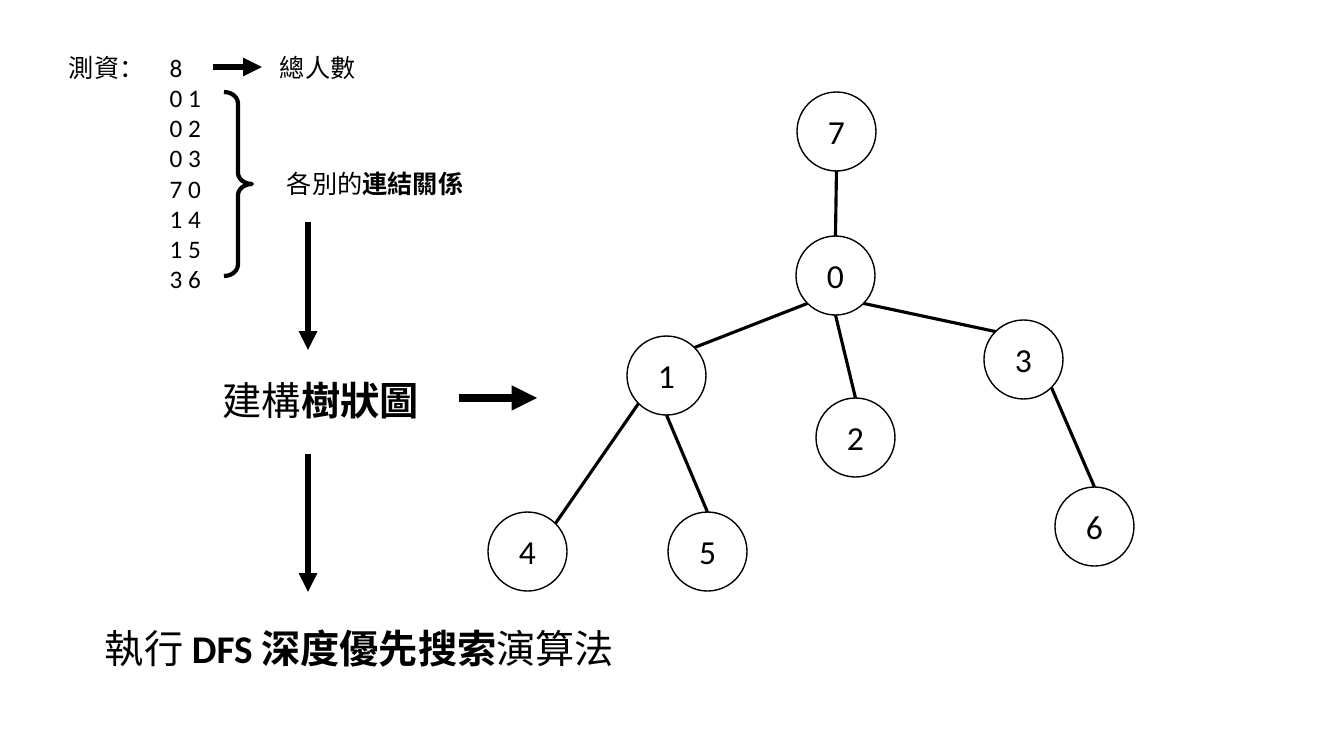
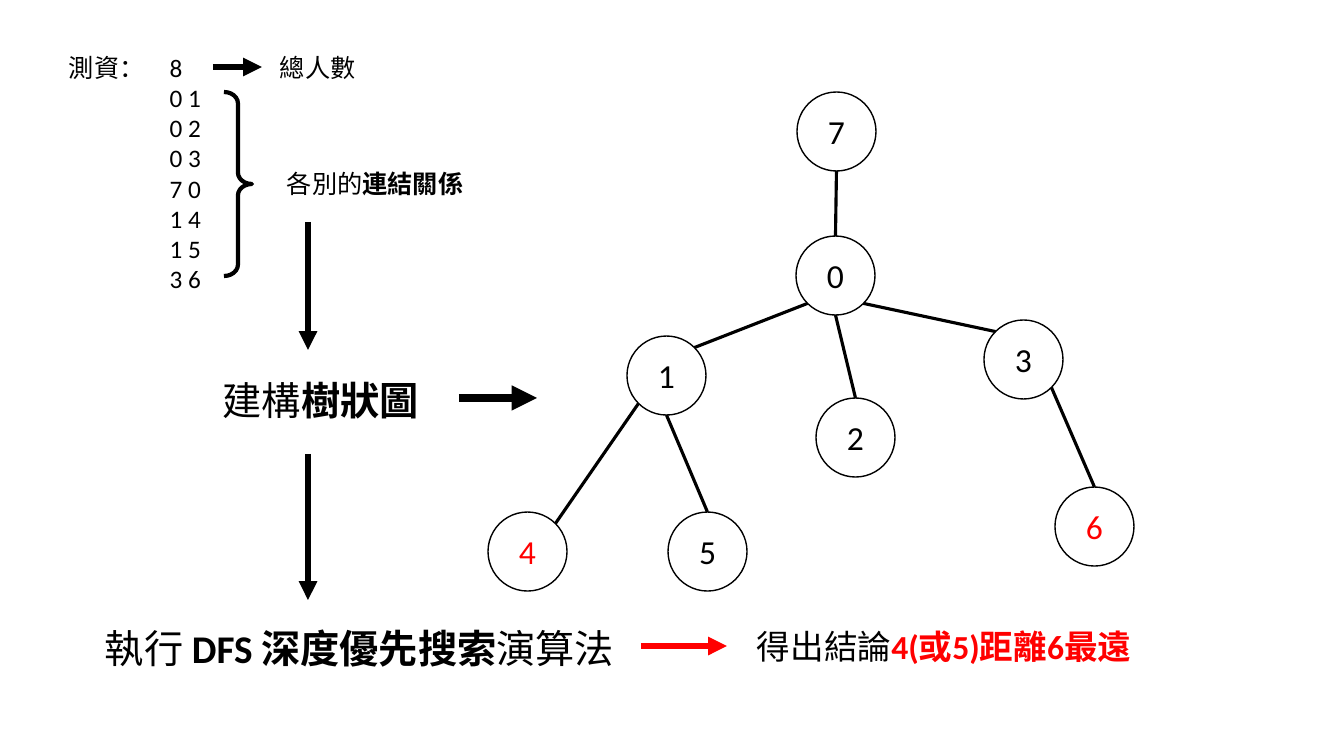
from lxml.etree import SubElement
from pptx import Presentation
from pptx.dml.color import RGBColor
from pptx.enum.shapes import MSO_CONNECTOR as Connector, MSO_SHAPE as Shape
from pptx.enum.text import MSO_ANCHOR as Anchor, MSO_AUTO_SIZE as AutoSize, PP_ALIGN as Align
from pptx.oxml.ns import qn
from pptx.util import Pt

COLORS = {"ink": "000000", "accent": "FF0000"}
FONT = "Calibri"
PIXEL = 914400 / 100.8
PAGE_SIZE = (1344, 756)

# Test data: people count, then one pair per link
COUNT_LINE = "測資：\t8"
LINKS = ["0 1", "0 2", "0 3", "7 0", "1 4", "1 5", "3 6"]
DATA_BOX = (59, 47, 154, 254)
BRACE = (224, 92, 28, 184)

# Labels: box, size, wrap, spans of (text, bold, colour)
LABELS = [
    ((270, 47, 97, 40), 18, False, [("總人數", False, "ink")]),
    ((277, 163, 199, 40), 18, False,
     [("各別的", False, "ink"), ("連結關係", True, "ink")]),
    ((213, 371, 219, 57), 28, False,
     [("建構", False, "ink"), ("樹狀圖", True, "ink")]),
    ((95, 619, 535, 57), 28, True,
     [("執行 ", False, "ink"), ("DFS 深度優先搜索", True, "ink"),
      ("演算法", False, "ink")]),
]
CONCLUSION = ((747, 621, 398, 50), 24, True,
              [("得出結論", False, "ink"), ("4(或5)距離6最遠", True, "accent")])

# Arrows: start, end, width in points, colour
ARROWS = [
    ((213, 67), (262, 67), 4.5, "ink"),
    ((308, 222), (308, 350), 4.5, "ink"),
    ((459, 398), (537, 398), 6, "ink"),
]
CONCLUSION_ARROW = ((641, 646), (727, 646), 4.5, "accent")
SEARCH_ARROW_START = (308, 454)

# Tree: top left corner of each node, and edges between named rim points
NODE_SIZE = 79
NODES = {"4": (488, 512), "7": (797, 92), "3": (984, 320), "2": (816, 398),
         "5": (668, 512), "6": (1055, 487), "1": (627, 336), "0": (796, 236)}
EDGES = [("7", "bottom", "0", "top"), ("0", "bottom left", "1", "top right"),
         ("0", "bottom", "2", "top"), ("0", "bottom right", "3", "top left"),
         ("3", "bottom right", "6", "top"), ("1", "bottom", "5", "top"),
         ("1", "bottom left", "4", "top right")]
DIAGONAL = 0.5 ** 0.5
RIM = {"top": (0, -1), "bottom": (0, 1),
       "top left": (-DIAGONAL, -DIAGONAL), "top right": (DIAGONAL, -DIAGONAL),
       "bottom left": (-DIAGONAL, DIAGONAL), "bottom right": (DIAGONAL, DIAGONAL)}

# Pages: end of the search arrow, highlighted nodes, whether the result shows
PAGES = [(592, "", False), (600, "46", True)]


def emu(*pixels):
    """Turn pixels into EMU."""
    return [round(pixel * PIXEL) for pixel in pixels]


def color(name):
    """Look up a named colour."""
    return RGBColor.from_string(COLORS[name])


def set_font(para, size, name="ink"):
    """Set the font of a whole paragraph."""
    para.font.name = FONT
    para.font.size = Pt(size)
    para.font.color.rgb = color(name)


def add_text_frame(page, box, wrap):
    """Add a text box and return its frame."""
    frame = page.shapes.add_textbox(*emu(*box)).text_frame
    frame.word_wrap = wrap
    frame.auto_size = AutoSize.SHAPE_TO_FIT_TEXT
    return frame


def add_label(page, box, size, wrap, spans):
    """Add one paragraph of differently styled spans."""
    para = add_text_frame(page, box, wrap).paragraphs[0]
    set_font(para, size)
    for text, bold, name in spans:
        span = para.add_run()
        span.text = text
        span.font.bold = bold
        span.font.color.rgb = color(name)


def add_outline(page, kind, box, width):
    """Add an unfilled shape with a black outline."""
    shape = page.shapes.add_shape(kind, *emu(*box))
    shape.shadow.inherit = False
    shape.fill.background()
    shape.line.color.rgb = color("ink")
    shape.line.width = Pt(width)
    return shape


def add_line(page, start, end, width, name="ink", arrow=False):
    """Add a straight line, with an arrowhead at its end if asked."""
    line = page.shapes.add_connector(Connector.STRAIGHT, *emu(*start, *end))
    line.line.color.rgb = color(name)
    line.line.width = Pt(width)
    if arrow:
        SubElement(line.line._get_or_add_ln(), qn("a:tailEnd"), type="triangle")
    SubElement(line._element.spPr, qn("a:effectLst"))


def add_test_data(page):
    """Add the input lines and the brace beside the links."""
    frame = add_text_frame(page, DATA_BOX, True)
    for index, text in enumerate([COUNT_LINE, *LINKS]):
        para = frame.add_paragraph() if index else frame.paragraphs[0]
        para.text = text
        para.level = 2 if index else 0
        set_font(para, 18)
    brace = add_outline(page, Shape.RIGHT_BRACE, BRACE, 3)
    brace.adjustments[0] = 0.405


def rim_point(node, side):
    """Return the point on a node's circle at the named side."""
    radius = NODE_SIZE / 2
    return [corner + radius * (1 + unit) for corner, unit in zip(NODES[node], RIM[side])]


def add_tree(page, highlighted):
    """Add the nodes and edges of the tree."""
    for node, corner in NODES.items():
        circle = add_outline(page, Shape.OVAL, (*corner, NODE_SIZE, NODE_SIZE), 1)
        frame = circle.text_frame
        frame.vertical_anchor = Anchor.MIDDLE
        para = frame.paragraphs[0]
        para.text = node
        para.alignment = Align.CENTER
        set_font(para, 24, "accent" if node in highlighted else "ink")
    for parent, parent_side, child, child_side in EDGES:
        add_line(page, rim_point(parent, parent_side), rim_point(child, child_side), 2.25)


def add_page(deck, search_arrow_end, highlighted, concluded):
    """Add one step of the explanation."""
    page = deck.slides.add_slide(deck.slide_layouts[6])
    search_arrow = (SEARCH_ARROW_START, (SEARCH_ARROW_START[0], search_arrow_end), 4.5, "ink")
    add_test_data(page)
    add_tree(page, highlighted)
    for label in LABELS + [CONCLUSION] * concluded:
        add_label(page, *label)
    for arrow in ARROWS + [search_arrow] + [CONCLUSION_ARROW] * concluded:
        add_line(page, *arrow, arrow=True)


deck = Presentation()
deck.slide_width, deck.slide_height = emu(*PAGE_SIZE)
for step in PAGES:
    add_page(deck, *step)
deck.save("out.pptx")
